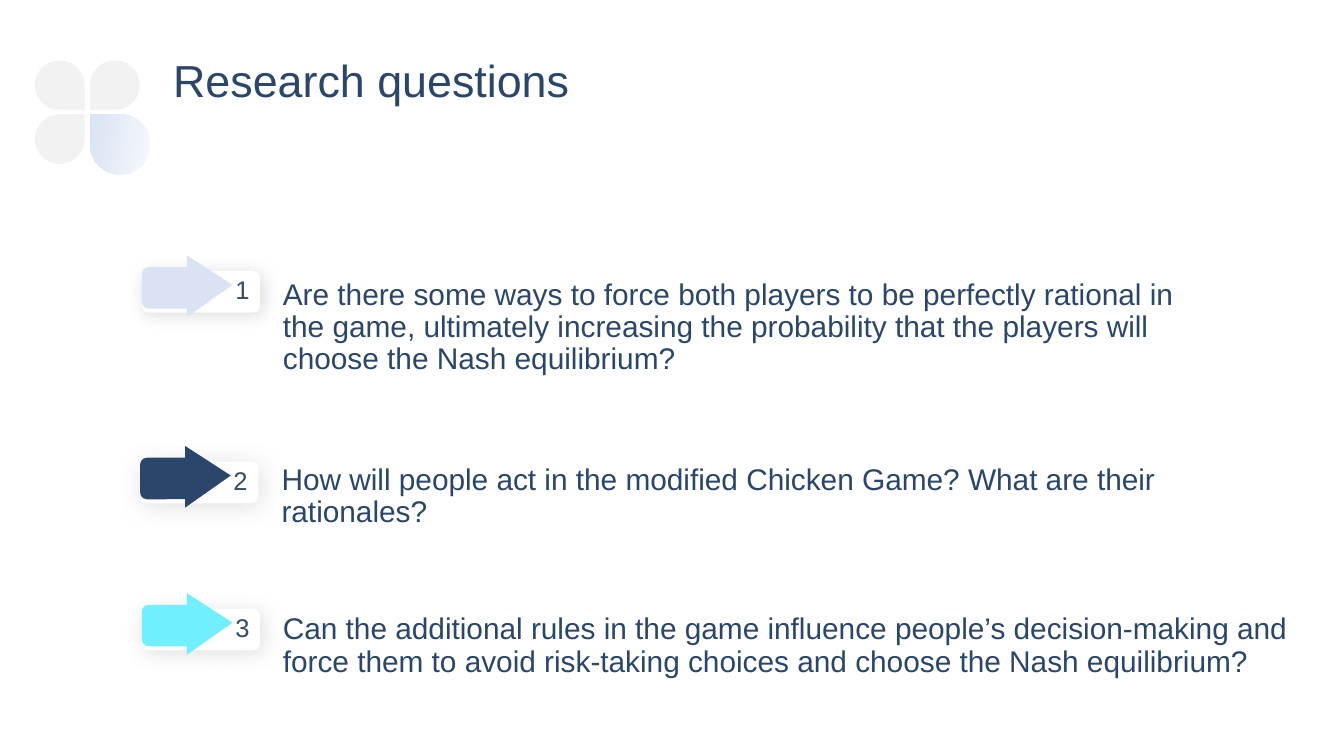
from lxml import etree
from pptx import Presentation, util as u
from pptx.dml.color import RGBColor
from pptx.enum import shapes, text
from pptx.oxml import ns

presentation = Presentation()
presentation.slide_width = u.Inches(10)
presentation.slide_height = presentation.slide_width * 9 // 16
slide = presentation.slides.add_slide(presentation.slide_layouts[6])

# Grid of square cells: 100 columns across the slide
CELL = presentation.slide_width / 100
NAVY, SLATE, PALE_BLUE, GREY = "2A466A", "374C5D", "DAE3F3", "F2F2F2"
PRESET = shapes.MSO_SHAPE


def add_shape(parent, preset, box, colour):
    shape = parent.shapes.add_shape(preset, *[round(n * CELL) for n in box])
    shape.shadow.inherit = False
    shape.line.fill.background()
    shape.fill.solid()
    shape.fill.fore_color.rgb = RGBColor.from_string(colour)
    return shape


def add_text(parent, words, box, size=16, colour=NAVY, inset=(0.75, 0.4)):
    frame = parent.shapes.add_textbox(*[round(n * CELL) for n in box]).text_frame
    frame.word_wrap = True
    frame.vertical_anchor = text.MSO_ANCHOR.TOP
    frame.margin_left = frame.margin_right = round(inset[0] * CELL)
    frame.margin_top = frame.margin_bottom = round(inset[1] * CELL)
    paragraph = frame.paragraphs[0]
    paragraph.line_spacing = 0.9
    paragraph.space_before = u.Pt(7.5)
    run = paragraph.add_run()
    run.text = words
    run.font.name = "Arial"
    run.font.size = u.Pt(size)
    run.font.color.rgb = RGBColor.from_string(colour)


# Numbered questions: words, arrow colour, badge corner, text box, shadow alpha and blur
questions = [
    ("Are there some ways to force both players to be perfectly rational in the game, "
     "ultimately increasing the probability that the players will choose the Nash equilibrium?",
     PALE_BLUE, (10.55, 20.17), (20.3, 20.4, 68.2, 3.8), 15, 10),
    ("How will people act in the modified Chicken Game? What are their rationales?",
     NAVY, (10.42, 34.35), (20.2, 34.2, 69.7, 4.3), 13, 15),
    ("Can the additional rules in the game influence people’s decision-making and "
     "force them to avoid risk-taking choices and choose the Nash equilibrium?",
     "72EFFF", (10.55, 45.3), (20.3, 45.3, 78.6, 5.9), 13, 12),
]
for number, (words, colour, (left, top), text_box, alpha, blur) in enumerate(questions, 1):
    badge = slide.shapes.add_group_shape()

    # White plate with a soft shadow
    plate = add_shape(badge, PRESET.ROUNDED_RECTANGLE, (left, top, 8.8, 3.1), "FFFFFF")
    effects = plate._element.spPr.find(ns.qn("a:effectLst"))
    shadow = etree.SubElement(effects, ns.qn("a:outerShdw"), blurRad=str(u.Pt(blur)),
                              dist=str(u.Pt(2)), dir=str(45 * 60000),
                              algn="tl", rotWithShape="0")
    shade = etree.SubElement(shadow, ns.qn("a:srgbClr"), val="000000")
    etree.SubElement(shade, ns.qn("a:alpha"), val=str(alpha * 1000))

    # Arrow: rounded tail and triangular head
    add_shape(badge, PRESET.ROUNDED_RECTANGLE, (left, top - 0.3, 4.2, 3.1), colour)
    head = add_shape(badge, PRESET.ISOSCELES_TRIANGLE,
                     (left + 2.75, top - 0.57, 4.6, 3.4), colour)
    head.adjustments[0] = 0.48
    head.rotation = 90

    add_text(badge, str(number), (left + 6.2, top + 0.1, 2.5, 3.1), 13.7, SLATE)
    add_text(slide, words, text_box)

# Four-petal ornament, every point turned to the centre
ornament = slide.shapes.add_group_shape()
petals = [(2.6, 8.5, 3.7, ()), (6.7, 4.5, 3.7, ("flipH", "flipV")),
          (2.6, 4.5, 3.7, ("flipV",)), (6.7, 8.5, 4.5, ("flipH",))]
for left, top, size, flips in petals:
    petal = add_shape(ornament, PRESET.TEAR, (left, top, size, size), GREY)
    for flip in flips:
        petal._element.spPr.xfrm.set(flip, "1")

# The last, larger petal has a gradient
petal.fill.gradient()
petal.fill.gradient_angle = 10
for stop, colour in zip(petal.fill.gradient_stops, ("F6F8FC", PALE_BLUE)):
    stop.color.rgb = RGBColor.from_string(colour)

# Title
add_text(slide, "Research questions", (11.9, 3.9, 80.7, 8.6), 24, inset=(1, 0.5))

presentation.save("out.pptx")
